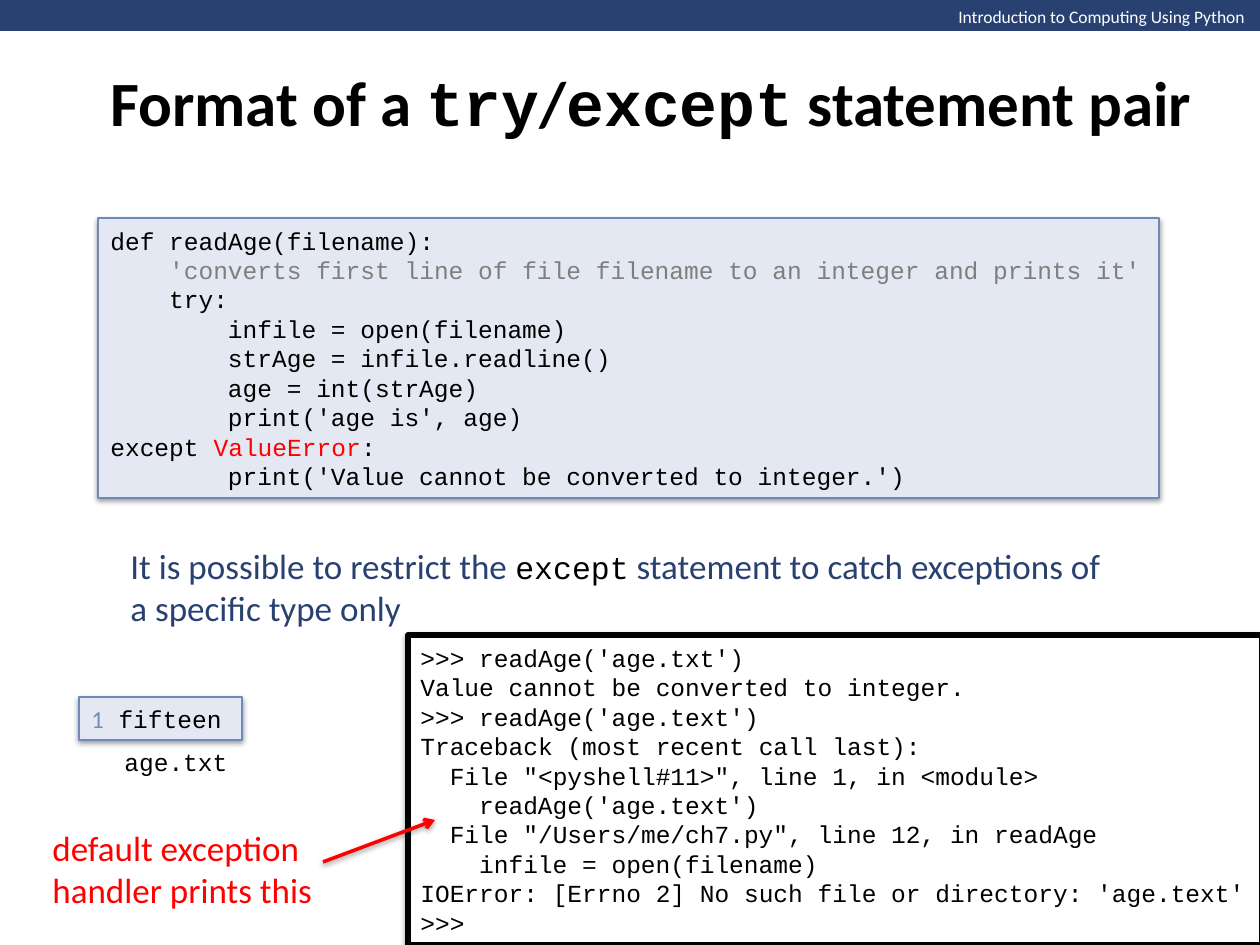
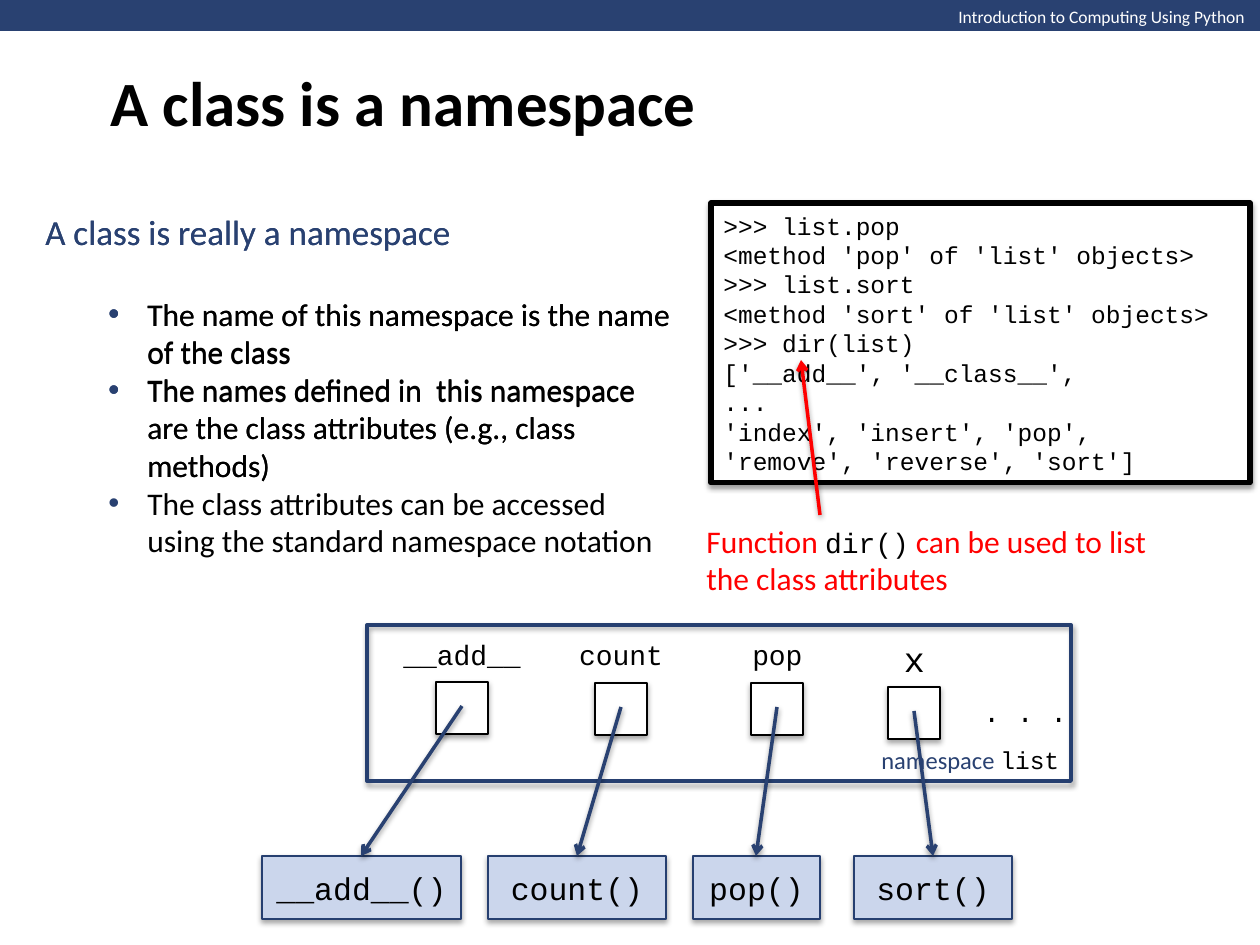
import collections

import pptx
import pptx.dml.color
import pptx.enum.shapes
import pptx.enum.text
import pptx.oxml
import pptx.oxml.ns
import pptx.util

RGB = pptx.dml.color.RGBColor
SHAPE = pptx.enum.shapes.MSO_SHAPE
ANCHOR = pptx.enum.text.MSO_ANCHOR
AUTO_SIZE = pptx.enum.text.MSO_AUTO_SIZE
CENTER = pptx.enum.text.PP_ALIGN.CENTER
EMU_PER_PX = 914400 / 126

NAVY = RGB(0x29, 0x41, 0x71)
NAVY_EDGE = RGB(0x26, 0x3F, 0x70)
PALE_BLUE = RGB(0xE3, 0xE8, 0xF2)
PALE_EDGE = RGB(0x70, 0x88, 0xBA)
METHOD_BLUE = RGB(0xCB, 0xD6, 0xEC)
LINE_NUMBER = RGB(0x74, 0x8C, 0xBC)
GRAY = RGB(0x7F, 0x7F, 0x7F)
RED = RGB(0xFF, 0x00, 0x00)
BLACK = RGB(0x00, 0x00, 0x00)
WHITE = RGB(0xFF, 0xFF, 0xFF)

SANS, MONO = "Calibri", "Courier New"
Style = collections.namedtuple("Style", "font size color bold", defaults=[BLACK, False])
Para = collections.namedtuple("Para", "runs indent", defaults=[0])
Name = collections.namedtuple(
    "Name", "label size label_w label_h slot_x slot_y method method_x method_w")

TITLE = Style(SANS, 36, BLACK, True)
TITLE_CODE = TITLE._replace(font=MONO)
LEAD = Style(SANS, 20, NAVY)
BODY = Style(SANS, 18)
CODE = Style(MONO, 14)
CODE_16, CODE_18 = CODE._replace(size=16), CODE._replace(size=18)
CODE_CHAR_PT = 0.6 * CODE.size

SOFT = (35, 23000)
FIRM = (38, 20000)

READ_AGE = """def readAge(filename):
    'converts first line of file filename to an integer and prints it'
    try:
        infile = open(filename)
        strAge = infile.readline()
        age = int(strAge)
        print('age is', age)
except ValueError:
        print('Value cannot be converted to integer.')"""
READ_AGE_TINTS = {
    "'converts first line of file filename to an integer and prints it'": GRAY,
    "ValueError": RED,
}

READ_AGE_SESSION = """>>> readAge('age.txt')
Value cannot be converted to integer.
>>> readAge('age.text')
Traceback (most recent call last):
  File "<pyshell#11>", line 1, in <module>
    readAge('age.text')
  File "/Users/me/ch7.py", line 12, in readAge
    infile = open(filename)
IOError: [Errno 2] No such file or directory: 'age.text'
>>>"""

LIST_SESSION = """>>> list.pop
<method 'pop' of 'list' objects>
>>> list.sort
<method 'sort' of 'list' objects>
>>> dir(list)
['__add__', '__class__',
...
'index', 'insert', 'pop', 'remove', 'reverse', 'sort']"""

CLASS_POINTS = [
    "The name of this namespace is the name of the class",
    "The names defined in  this namespace are the class attributes (e.g., class methods)",
    "The class attributes can be accessed using the standard namespace notation",
]

NAMES = [
    Name("__add__", 16, 184, 47, 174, 57, "__add__()", 0, 199),
    Name("count", 16, 142, 47, 333, 58, "count()", 226, 178),
    Name("pop", 16, 89, 47, 489, 58, "pop()", 431, 127),
    Name("x", 20, 89, 55, 626, 62, "sort()", 592, 158),
]


def px(n):
    return pptx.util.Emu(round(n * EMU_PER_PX))


def place(box):
    return [px(n) for n in box]


def set_margin(p, left, hanging=0):
    pPr = p._p.get_or_add_pPr()
    pPr.set("marL", str(int(left)))
    pPr.set("indent", str(-int(hanging)))
    return pPr


def add_runs(p, runs):
    for text, style in runs:
        r = p.add_run()
        r.text = text
        r.font.name = style.font
        r.font.size = pptx.util.Pt(style.size)
        r.font.bold = style.bold
        r.font.color.rgb = style.color


def write(sp, paras, align=None, wrap=True, grow=True, anchor=ANCHOR.MIDDLE):
    tf = sp.text_frame
    tf.word_wrap = wrap
    tf.auto_size = AUTO_SIZE.SHAPE_TO_FIT_TEXT if grow else AUTO_SIZE.NONE
    tf.vertical_anchor = anchor
    for i, para in enumerate(paras):
        p = tf.add_paragraph() if i else tf.paragraphs[0]
        p.alignment = align or pptx.enum.text.PP_ALIGN.LEFT
        if para.indent:
            set_margin(p, pptx.util.Pt(para.indent * CODE_CHAR_PT))
        add_runs(p, para.runs)
    return tf


def add_text(s, box, paras, **layout):
    return write(s.shapes.add_textbox(*place(box)), paras, **layout)


def cast_shadow(sp, alpha, distance):
    sp._element.spPr.append(pptx.oxml.parse_xml(
        f'<a:effectLst {pptx.oxml.ns.nsdecls("a")}>'
        f'<a:outerShdw blurRad="40000" dist="{distance}" dir="5400000" rotWithShape="0">'
        f'<a:srgbClr val="000000"><a:alpha val="{alpha * 1000}"/></a:srgbClr>'
        '</a:outerShdw></a:effectLst>'))


def add_rect(s, box, fill=None, edge=None, width=0.75, shadow=None):
    sp = s.shapes.add_shape(SHAPE.RECTANGLE, *place(box))
    if fill is None:
        sp.fill.background()
    else:
        sp.fill.solid()
        sp.fill.fore_color.rgb = fill
    if edge is None:
        sp.line.fill.background()
    else:
        sp.line.color.rgb = edge
        sp.line.width = pptx.util.Pt(width)
    if shadow:
        cast_shadow(sp, *shadow)
    else:
        sp.shadow.inherit = False
    return sp


def add_arrow(s, start, end, color):
    line = s.shapes.add_connector(
        pptx.enum.shapes.MSO_CONNECTOR.STRAIGHT, *place(start + end))
    line.line.color.rgb = color
    line.line.width = pptx.util.Pt(2)
    line.line._get_or_add_ln().append(pptx.oxml.parse_xml(
        f'<a:tailEnd {pptx.oxml.ns.nsdecls("a")} type="arrow"/>'))
    cast_shadow(line, *FIRM)


def code_paras(text, tints=None):
    """Turn code into paragraphs, with leading spaces as indents and tinted fragments."""
    paras = []
    for line in text.splitlines():
        body = line.lstrip()
        runs = [(body, CODE)]
        for fragment, color in (tints or {}).items():
            if fragment in body:
                before, _, after = body.partition(fragment)
                runs = [(before, CODE), (fragment, CODE._replace(color=color)), (after, CODE)]
        paras.append(Para([run for run in runs if run[0]], len(line) - len(body)))
    return paras


def add_code_panel(s, box, paras):
    write(add_rect(s, box, PALE_BLUE, PALE_EDGE, shadow=FIRM), paras)


def add_shell(s, box, session):
    write(add_rect(s, box, WHITE, BLACK, 3, FIRM), code_paras(session))


def add_base_slide(prs, title_runs, title_width):
    s = prs.slides.add_slide(prs.slide_layouts[6])
    add_rect(s, (0, 0, 1260, 31), NAVY)
    add_text(s, (946, 0, 315, 34),
             [Para([("Introduction to Computing Using Python", Style(SANS, 10, WHITE))])],
             wrap=False, anchor=ANCHOR.TOP)
    add_text(s, (98, 0, title_width, 203), [Para(title_runs)], grow=False)
    return s


def add_age_file(s, box):
    x, y, w, h = box
    add_code_panel(s, box, [Para([("1", Style(SANS, 14, LINE_NUMBER)), (" fifteen", CODE)])])
    add_text(s, (x + 33, y + h, w - 33, h), [Para([("age.txt", CODE)])], wrap=False)


def add_class_points(s, box, points):
    tf = add_text(s, box, [Para([("A class is really a namespace", LEAD)])])
    for i, point in enumerate(points):
        p = tf.add_paragraph()
        p.level = 1
        if i == 0:
            p.space_before = pptx.util.Pt(24)
        pPr = set_margin(p, px(102), px(39))
        ns = pptx.oxml.ns.nsdecls("a")
        for bullet in (f'<a:buClr {ns}><a:srgbClr val="{NAVY}"/></a:buClr>',
                       f'<a:buFont {ns} typeface="Arial"/>',
                       f'<a:buChar {ns} char="•"/>'):
            pPr.append(pptx.oxml.parse_xml(bullet))
        add_runs(p, [(point, BODY)])


def add_namespace(s, box):
    """Draw the namespace frame, its names and the method each name refers to."""
    x, y, w, h = box
    slot, method_h = 52, 63
    method_y = y + h - method_h
    add_rect(s, (x + 105, y, w - 105, 156), None, NAVY_EDGE, 2.25, SOFT)
    for n in NAMES:
        slot_x, slot_y = x + n.slot_x, y + n.slot_y
        slot_mid = slot_x + slot // 2
        add_rect(s, (slot_x, slot_y, slot, slot), WHITE, BLACK, shadow=SOFT)
        add_text(s, (slot_mid - n.label_w // 2, y + 6, n.label_w, n.label_h),
                 [Para([(n.label, CODE._replace(size=n.size))])], align=CENTER)
        method = add_rect(s, (x + n.method_x, method_y, n.method_w, method_h),
                          METHOD_BLUE, NAVY_EDGE, shadow=SOFT)
        write(method, [Para([(n.method, CODE_18)])], align=CENTER, grow=False)
        add_arrow(s, (slot_mid, slot_y + 24),
                  (x + n.method_x + n.method_w // 2, method_y), NAVY)
    add_text(s, (x + 709, y + 63, 111, 47), [Para([(". . .", CODE_16)])], wrap=False)
    add_text(s, (x + 607, y + 113, 204, 43),
             [Para([("namespace ", Style(SANS, 14, NAVY)), ("list", CODE)])], wrap=False)


def build_try_except(prs):
    s = add_base_slide(prs, [("Format of a ", TITLE), ("try", TITLE_CODE), ("/", TITLE),
                             ("except", TITLE_CODE), (" statement pair", TITLE)], 1164)
    add_text(s, (118, 538, 1004, 97), [
        Para([("It is possible to restrict the ", LEAD), ("except", CODE_18),
              (" statement to catch exceptions of", LEAD)]),
        Para([("a specific type only", LEAD)]),
    ], wrap=False)
    add_code_panel(s, (98, 218, 1061, 280), code_paras(READ_AGE, READ_AGE_TINTS))
    add_age_file(s, (79, 697, 163, 43))
    add_shell(s, (408, 635, 854, 310), READ_AGE_SESSION)
    add_text(s, (40, 820, 319, 97),
             [Para([("default exception handler prints this", LEAD._replace(color=RED))])])
    add_arrow(s, (323, 862), (435, 820), RED)


def build_class_namespace(prs):
    s = add_base_slide(prs, [("A class is a namespace", TITLE)], 1099)
    add_namespace(s, (262, 625, 809, 294))
    for count, height in ((2, 289), (3, 364)):
        add_class_points(s, (33, 203, 658, height), CLASS_POINTS[:count])
    note = BODY._replace(color=RED)
    add_text(s, (694, 515, 481, 89), [
        Para([("Function ", note), ("dir()", CODE_16), (" can be used to list", note)]),
        Para([("the class attributes", note)]),
    ], wrap=False)
    add_shell(s, (711, 203, 539, 280), LIST_SESSION)
    add_arrow(s, (820, 515), (801, 360), RED)


def main():
    prs = pptx.Presentation()
    prs.slide_width, prs.slide_height = px(1260), px(945)
    build_try_except(prs)
    build_class_namespace(prs)
    prs.save("out.pptx")


if __name__ == "__main__":
    main()
